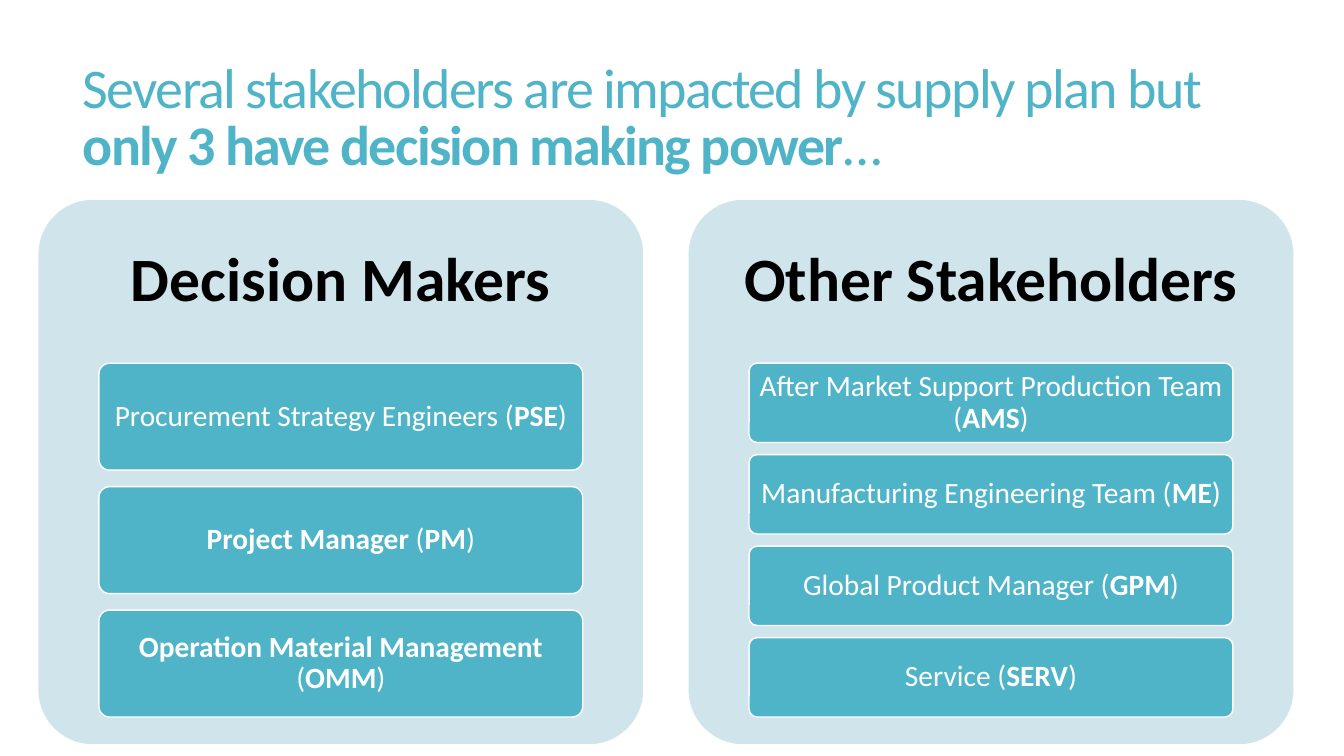
from pptx import Presentation
from pptx import util as u
from pptx.dml import color as dml
from pptx.enum import shapes, text

Pt = u.Pt
HUES = {"teal": "50B4C8", "pale": "D0E5EB", "white": "FFFFFF", "black": "000000"}
ROUND = shapes.MSO_SHAPE.ROUNDED_RECTANGLE


def rgb(name):
    return dml.RGBColor.from_string(HUES[name])


def write(frame, words, size, hue, lines, align, inset):
    """Fill a text frame; words between asterisks are bold."""
    frame.word_wrap = True
    frame.auto_size = text.MSO_AUTO_SIZE.NONE
    frame.vertical_anchor = text.MSO_ANCHOR.MIDDLE
    frame.margin_left = frame.margin_right = Pt(inset[0])
    frame.margin_top = frame.margin_bottom = Pt(inset[1])
    para = frame.paragraphs[0]
    para.alignment, para.line_spacing = align, lines
    para.font.name, para.font.size = "Calibri", Pt(size)
    para.font.color.rgb = rgb(hue)
    for i, part in enumerate(words.split("*")):
        if part:
            run = para.add_run()
            run.text, run.font.bold = part, i % 2 == 1
    return para


deck = Presentation()
deck.slide_width, deck.slide_height = Pt(960), Pt(540)
slide = deck.slides.add_slide(deck.slide_layouts[5])
LEFT, MID = text.PP_ALIGN.LEFT, text.PP_ALIGN.CENTER

# Title, with tightened letters
title = slide.shapes.title
title.left, title.top, title.width, title.height = Pt(52), Pt(39.6), Pt(848), Pt(92)
line = write(title.text_frame,
             "Several stakeholders are impacted by supply plan but "
             "*only 3 have decision making power*…",
             40, "teal", 0.85, LEFT, (7.2, 3.6))
for run in line.runs:
    run.font._element.set("spc", "-120")

# Two panels, each a heading over a stack of boxes
PANELS = [
    ("Decision Makers", [
        "Procurement Strategy Engineers (*PSE*)",
        "*Project Manager *(*PM*)",
        "*Operation Material Management *(*OMM*)"]),
    ("Other Stakeholders", [
        "After Market Support Production Team (*AMS*)",
        "Manufacturing Engineering Team (*ME*)",
        "Global Product Manager (*GPM*)",
        "Service (*SERV*)"]),
]
TOP, WIDE, TALL, STEP = 142.8, 432, 388.8, 464.4
HEAD, STACK, GAP = 0.3 * TALL, 0.65 * TALL, 0.154  # gap as a share of box height

for col, (head, names) in enumerate(PANELS):
    x = 27.5 + col * STEP
    panel = slide.shapes.add_shape(ROUND, Pt(x), Pt(TOP), Pt(WIDE), Pt(TALL))
    panel.adjustments[0] = 0.1
    panel.shadow.inherit = False
    panel.fill.solid()
    panel.fill.fore_color.rgb = rgb("pale")
    panel.line.fill.background()

    label = slide.shapes.add_textbox(Pt(x), Pt(TOP), Pt(WIDE), Pt(HEAD))
    write(label.text_frame, f"*{head}*", 44, "black", 0.9, MID, (13, 13))

    # Boxes share the stack height evenly
    high = STACK / (len(names) + GAP * (len(names) - 1))
    for row, name in enumerate(names):
        y = TOP + HEAD + row * high * (1 + GAP)
        box = slide.shapes.add_shape(ROUND, Pt(x + 0.1 * WIDE), Pt(y),
                                     Pt(0.8 * WIDE), Pt(high))
        box.adjustments[0] = 0.1
        box.shadow.inherit = False
        box.fill.solid()
        box.fill.fore_color.rgb = rgb("teal")
        box.line.color.rgb = rgb("white")
        box.line.width = Pt(1)
        write(box.text_frame, name, 21, "white", 0.9, MID, (4.2, 3.2))

deck.save("out.pptx")
